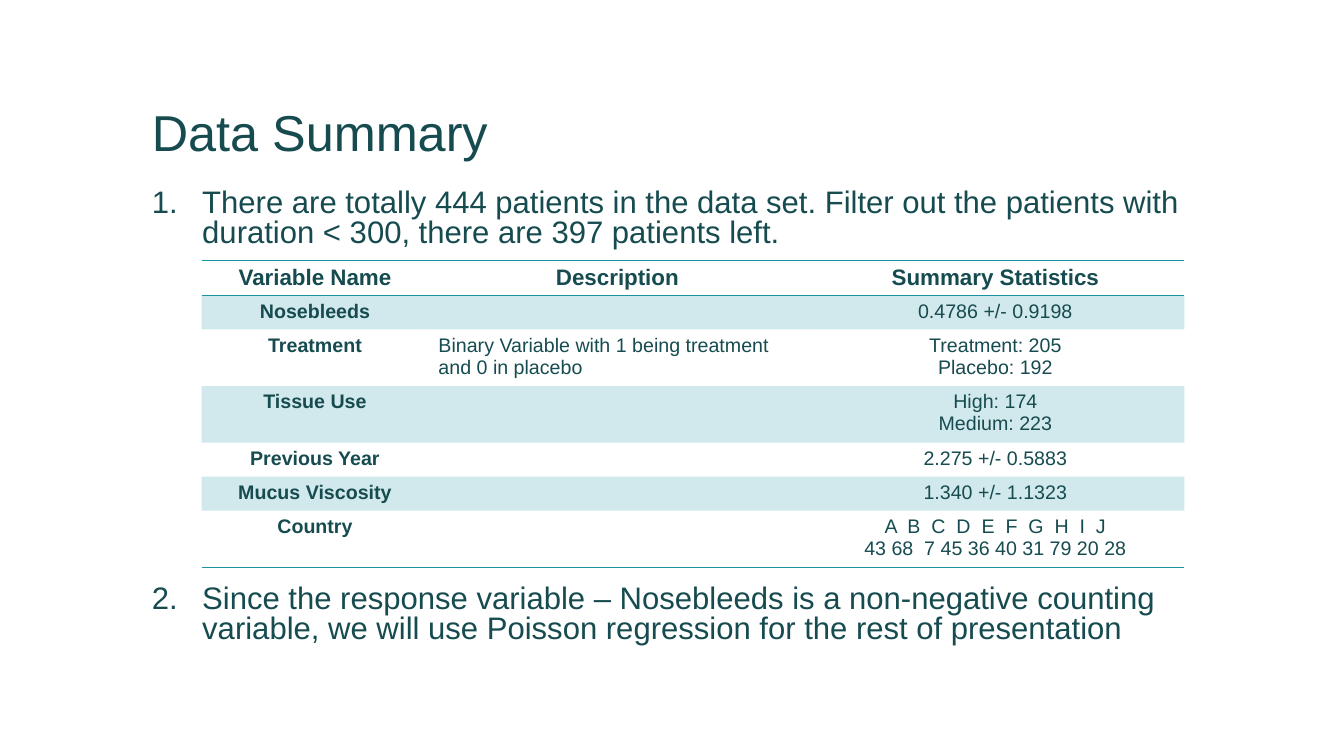
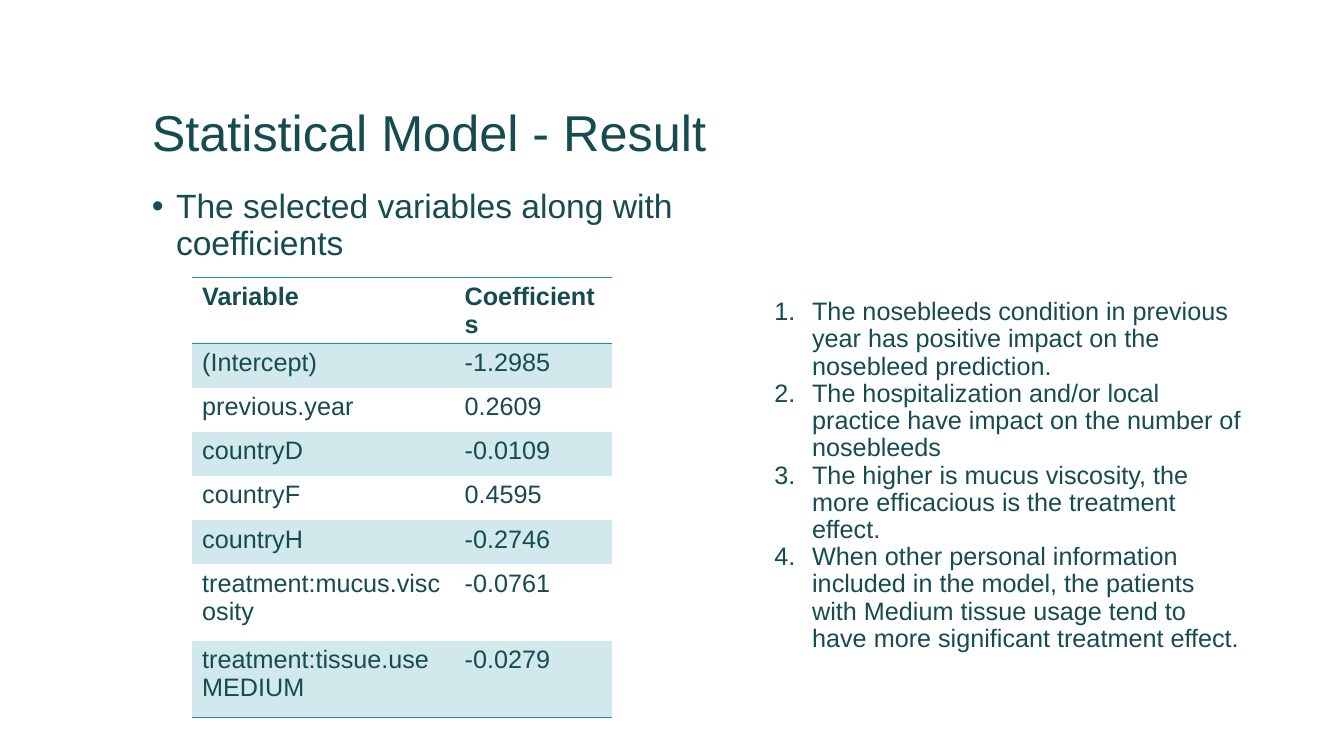
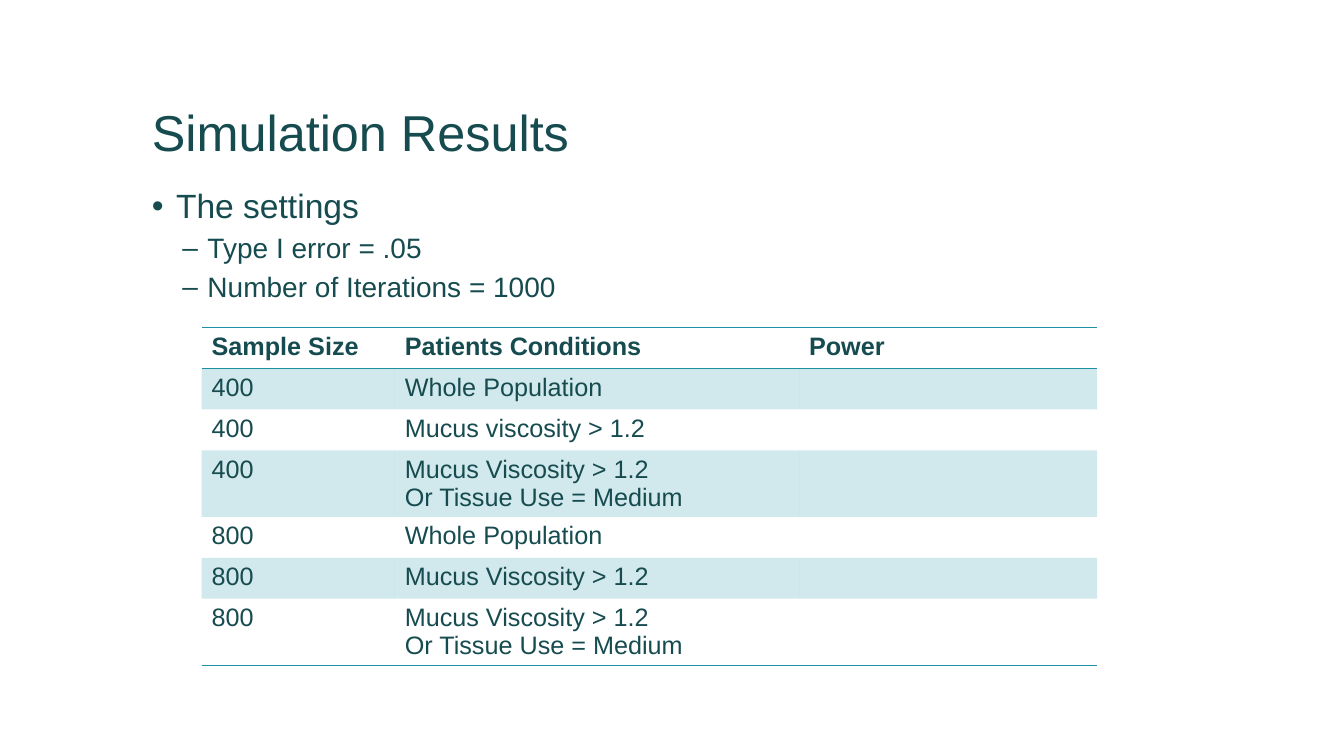
"""Build three slides on a nosebleed treatment study: data, model and simulation."""

import dataclasses
import typing

import lxml.etree
import pptx
import pptx.dml.color
import pptx.enum.text
import pptx.oxml.ns
import pptx.util

PX = 9525
INK = pptx.dml.color.RGBColor(0x16, 0x4B, 0x4F)
TEAL = pptx.dml.color.RGBColor(0x1B, 0x91, 0xA1)
BAND_ALPHA = "20000"
FONT = "Arial"
PLAIN_TABLE = "{2D5ABB26-0587-4C30-8999-92F81FD0307C}"
LEFT = pptx.enum.text.PP_ALIGN.LEFT
CENTER = pptx.enum.text.PP_ALIGN.CENTER
TOP = pptx.enum.text.MSO_ANCHOR.TOP
BOTTOM = pptx.enum.text.MSO_ANCHOR.BOTTOM
NUMBERED = "1."


@dataclasses.dataclass(frozen=True)
class Area:
    left: int
    top: int
    width: int
    height: int


@dataclasses.dataclass(frozen=True)
class Item:
    text: str
    size: float
    bullet: str = ""
    margin: int = 0
    hanging: int = 0
    level: int = 0
    spacing: float = 0.9
    before: int = 0


@dataclasses.dataclass(frozen=True)
class Grid:
    left: int
    top: int
    widths: tuple[int, ...]
    heights: tuple[int, ...]
    rows: tuple[tuple[str, ...], ...]
    head_size: int = 18
    body_size: int = 18
    head_align: typing.Any = LEFT
    aligns: tuple = (LEFT, LEFT, LEFT)
    bold_columns: tuple[int, ...] = ()


TITLE_AREA = Area(135, 40, 1008, 120)
BODY_AREA = Area(135, 176, 1008, 472)
HALF_AREA = Area(135, 176, 520, 544)
NOTES_AREA = Area(728, 280, 464, 376)


def px(length: int) -> pptx.util.Emu:
    """Turn pixels into EMU."""
    return pptx.util.Emu(length * PX)


def assign(target: typing.Any, values: dict[str, typing.Any]) -> None:
    """Set each named attribute on the target."""
    for name, value in values.items():
        setattr(target, name, value)


def add_node(parent: typing.Any, tag: str, **attributes: str) -> typing.Any:
    """Append a DrawingML element."""
    return lxml.etree.SubElement(parent, pptx.oxml.ns.qn(tag), attributes)


def place(box: typing.Any, area: Area) -> None:
    """Move and size a shape."""
    assign(box, {name: px(value) for name, value in dataclasses.asdict(area).items()})


def add_span(para: typing.Any, text: str, size: float, bold: bool = False) -> None:
    """Add a run in the deck's font and ink."""
    span = para.add_run()
    span.text = text
    assign(span.font, {"name": FONT, "size": pptx.util.Pt(size), "bold": bold})
    span.font.color.rgb = INK


def write_items(box: typing.Any, items: typing.Sequence[Item], anchor: typing.Any = TOP) -> None:
    """Fill a text shape with formatted paragraphs."""
    frame = box.text_frame
    assign(frame, {
        "word_wrap": True,
        "auto_size": pptx.enum.text.MSO_AUTO_SIZE.NONE,
        "vertical_anchor": anchor,
    })
    for index, item in enumerate(items):
        para = frame.add_paragraph() if index else frame.paragraphs[0]
        assign(para, {
            "alignment": LEFT,
            "level": item.level,
            "line_spacing": item.spacing,
            "space_before": pptx.util.Pt(item.before),
        })
        add_span(para, item.text, item.size)
        if item.bullet:
            properties = para._p.get_or_add_pPr()
            properties.set("marL", str(px(item.margin)))
            properties.set("indent", str(px(-item.hanging)))
            add_node(properties, "a:buFont", typeface=FONT)
            if item.bullet == NUMBERED:
                add_node(properties, "a:buAutoNum", type="arabicPeriod")
            else:
                add_node(properties, "a:buChar", char=item.bullet)


def add_page(deck: typing.Any, title: str, area: Area, items: typing.Sequence[Item]) -> typing.Any:
    """Add a slide with its title and list."""
    page = deck.slides.add_slide(deck.slide_layouts[1])
    heading, body = page.shapes.title, page.placeholders[1]
    place(heading, TITLE_AREA)
    write_items(heading, [Item(title, 36)], BOTTOM)
    place(body, area)
    write_items(body, items)
    return page


def paint_cell(cell: typing.Any, edges: typing.Sequence[str], banded: bool) -> None:
    """Draw a cell's rules and its band."""
    properties = cell._tc.get_or_add_tcPr()
    for edge in edges:
        line = add_node(properties, edge, w=str(pptx.util.Pt(1)))
        add_node(add_node(line, "a:solidFill"), "a:srgbClr", val=str(TEAL))
    if banded:
        cell.fill.solid()
        cell.fill.fore_color.rgb = TEAL
        color = properties.find(pptx.oxml.ns.qn("a:solidFill"))[0]
        add_node(color, "a:alpha", val=BAND_ALPHA)
    else:
        cell.fill.background()


def add_grid(page: typing.Any, grid: Grid) -> None:
    """Add a ruled and banded table."""
    last = len(grid.rows) - 1
    table = page.shapes.add_table(
        len(grid.rows), len(grid.widths), px(grid.left), px(grid.top),
        px(sum(grid.widths)), px(sum(grid.heights)),
    ).table
    assign(table, {"first_row": False, "horz_banding": False})
    table._tbl.tblPr.find(pptx.oxml.ns.qn("a:tableStyleId")).text = PLAIN_TABLE
    for column, width in zip(table.columns, grid.widths):
        column.width = px(width)
    for row, texts in enumerate(grid.rows):
        table.rows[row].height = px(grid.heights[row])
        size = grid.body_size if row else grid.head_size
        edges = ("a:lnT", "a:lnB") if row == 0 else ("a:lnB",) if row == last else ()
        for column, text in enumerate(texts):
            cell = table.cell(row, column)
            for index, line in enumerate(text.split("\n")):
                frame = cell.text_frame
                para = frame.add_paragraph() if index else frame.paragraphs[0]
                para.alignment = grid.aligns[column] if row else grid.head_align
                if line:
                    add_span(para, line, size, row == 0 or column in grid.bold_columns)
                else:
                    add_node(para._p, "a:endParaRPr", sz=str(size * 100))
            paint_cell(cell, edges, row % 2 == 1)


def add_data_summary(deck: typing.Any) -> None:
    """Add the data slide."""
    style = {"size": 22.2, "bullet": NUMBERED, "margin": 48, "hanging": 48, "spacing": 0.8}
    page = add_page(deck, "Data Summary", BODY_AREA, [
        Item("There are totally 444 patients in the data set. Filter out the patients "
             "with duration < 300, there are 397 patients left.", **style),
        Item("Since the response variable – Nosebleeds is a non-negative counting "
             "variable, we will use Poisson regression for the rest of presentation",
             before=240, **style),
    ])
    add_grid(page, Grid(
        192, 248, (216, 360, 360), (32, 32, 54, 54, 32, 32, 54),
        (
            ("Variable Name", "Description", "Summary Statistics"),
            ("Nosebleeds", "", "0.4786 +/- 0.9198"),
            ("Treatment", "Binary Variable with 1 being treatment and 0 in placebo",
             "Treatment: 205\nPlacebo: 192"),
            ("Tissue Use", "", "High: 174\nMedium: 223"),
            ("Previous Year", "", "2.275 +/- 0.5883"),
            ("Mucus Viscosity", "", "1.340 +/- 1.1323"),
            ("Country", "", "A  B  C  D  E  F  G  H  I  J\n43 68  7 45 36 40 31 79 20 28"),
        ),
        head_size=16, body_size=14, head_align=CENTER,
        aligns=(CENTER, LEFT, CENTER), bold_columns=(0,),
    ))


def add_model_result(deck: typing.Any) -> None:
    """Add the model slide."""
    page = add_page(deck, "Statistical Model - Result", HALF_AREA, [
        Item("The selected variables along with coefficients", 24, "•", 23, 24, before=16),
    ])
    add_grid(page, Grid(
        183, 264, (250, 150), (42,) * 6 + (73,) * 2,
        (
            ("Variable", "Coefficients"),
            ("(Intercept)", "-1.2985"),
            ("previous.year", "0.2609"),
            ("countryD", "-0.0109"),
            ("countryF", "0.4595"),
            ("countryH", "-0.2746"),
            ("treatment:mucus.viscosity", "-0.0761"),
            ("treatment:tissue.useMEDIUM", "-0.0279"),
        ),
    ))
    findings = (
        "The nosebleeds condition in previous year has positive impact on the "
        "nosebleed prediction.",
        "The hospitalization and/or local practice have impact on the number of nosebleeds",
        "The higher is mucus viscosity, the more efficacious is the treatment effect.",
        "When other personal information included in the model, the patients with Medium "
        "tissue usage tend to have more significant treatment effect.",
    )
    box = page.shapes.add_textbox(0, 0, 0, 0)
    place(box, NOTES_AREA)
    write_items(box, [Item(finding, 18, NUMBERED, 36, 36) for finding in findings])


def add_simulation_results(deck: typing.Any) -> None:
    """Add the simulation slide."""
    detail = {"size": 20, "bullet": "–", "margin": 53, "hanging": 24, "level": 1, "before": 6}
    page = add_page(deck, "Simulation Results", BODY_AREA, [
        Item("The settings", 24, "•", 23, 24, before=16),
        Item("Type I error = .05", **detail),
        Item("Number of Iterations = 1000", **detail),
    ])
    either = "Mucus Viscosity > 1.2\nOr Tissue Use = Medium"
    add_grid(page, Grid(
        192, 312, (184, 385, 284), (39,) * 7,
        (
            ("Sample Size", "Patients Conditions", "Power"),
            ("400", "Whole Population", ""),
            ("400", "Mucus viscosity > 1.2", ""),
            ("400", either, ""),
            ("800", "Whole Population", ""),
            ("800", "Mucus Viscosity > 1.2", ""),
            ("800", either, ""),
        ),
    ))


def main() -> None:
    """Build and save the deck."""
    deck = pptx.Presentation()
    assign(deck, {"slide_width": px(1280), "slide_height": px(720)})
    add_data_summary(deck)
    add_model_result(deck)
    add_simulation_results(deck)
    deck.save("out.pptx")


if __name__ == "__main__":
    main()
